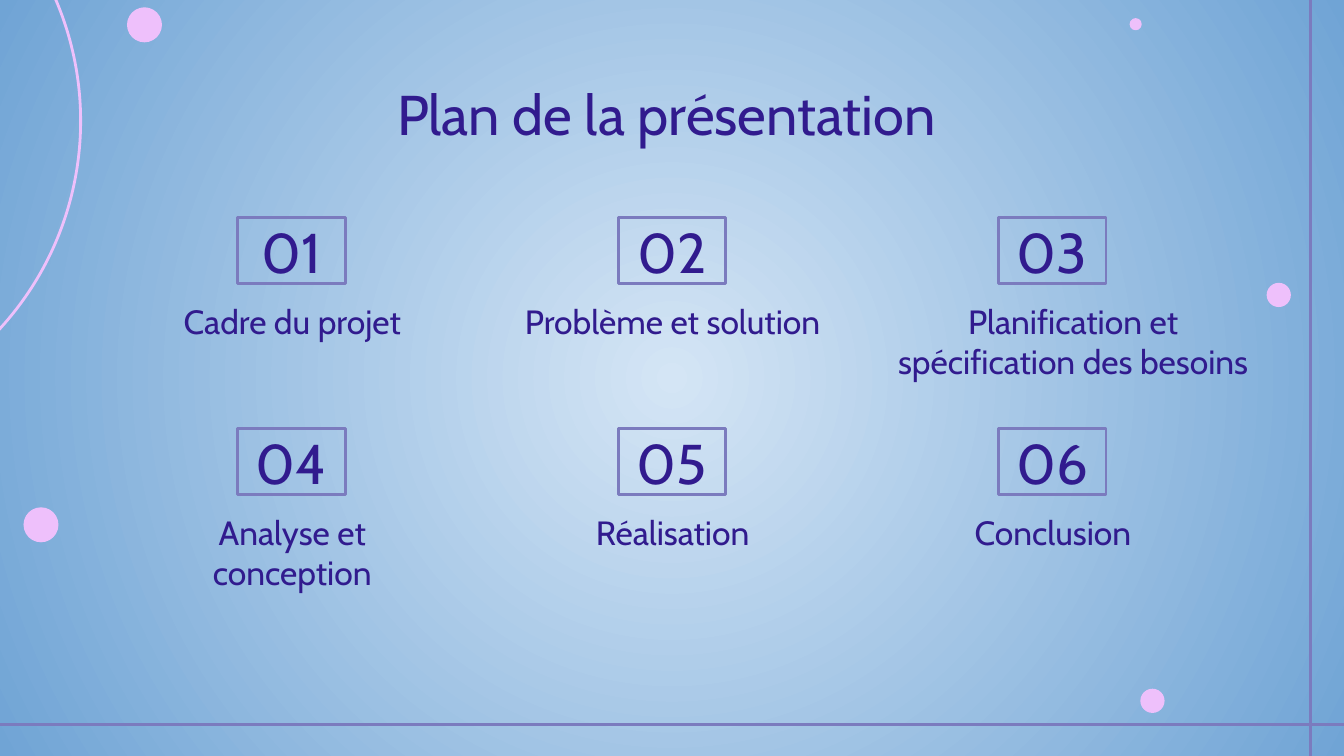
from lxml import etree
from pptx import Presentation
from pptx.dml.color import RGBColor
from pptx.enum.shapes import MSO_CONNECTOR, MSO_SHAPE
from pptx.enum.text import MSO_ANCHOR, PP_ALIGN
from pptx.oxml.ns import qn
from pptx.util import Inches, Pt

OVAL, RECT = MSO_SHAPE.OVAL, MSO_SHAPE.RECTANGLE
STRAIGHT = MSO_CONNECTOR.STRAIGHT
TOP, MIDDLE = MSO_ANCHOR.TOP, MSO_ANCHOR.MIDDLE
CENTER = PP_ALIGN.CENTER

PALE = RGBColor(0xD4, 0xE5, 0xF5)
BLUE = RGBColor(0x70, 0xA4, 0xD5)
PINK = RGBColor(0xEE, 0xC0, 0xFB)
MAUVE = RGBColor(0x7B, 0x7B, 0xBE)
INK = RGBColor(0x31, 0x1B, 0x8E)
FONT = "Cabin"

# Slide size (16:9) and agenda grid, in inches
WIDE = 10
HIGH = WIDE * 9 / 16
LEFT, ABOVE = 0.79, 1.62
STEP_X, STEP_Y = 2.83, 1.57
COL, COLS = 2.77, 3
BOX_W, BOX_H = 0.8, 0.49
INDENT, DROP = 0.98, 0.52

# Left, top and diameter of each dot
DOTS = [(0.95, 0.06, 0.25), (8.49, 5.13, 0.17), (8.41, 0.14, 0.08),
        (9.43, 2.11, 0.17), (0.18, 3.78, 0.25)]

# Paragraphs and caption width of each agenda item
ITEMS = [
    (["Cadre du projet"], COL),
    (["Problème et solution"], COL),
    (["Planification et spécification des besoins"], 3.07),
    (["Analyse et", "conception"], COL),
    (["Réalisation"], COL),
    (["Conclusion"], COL),
]


def paint_back(slide):
    """Radial gradient, pale in the middle."""
    fill = slide.background.fill
    fill.gradient()
    for stop, color in zip(fill.gradient_stops, (PALE, BLUE)):
        stop.color.rgb = color
    grad = slide.element.find(".//" + qn("a:gradFill"))
    line = grad.find(qn("a:lin"))
    ring = etree.Element(qn("a:path"), path="circle")
    etree.SubElement(ring, qn("a:fillToRect"),
                     {side: "50000" for side in "ltrb"})
    grad.replace(line, ring)


def add_form(slide, kind, x, y, w, h, color, weight, solid=False):
    form = slide.shapes.add_shape(kind, Inches(x), Inches(y),
                                  Inches(w), Inches(h))
    form.shadow.inherit = False
    if solid:
        form.fill.solid()
        form.fill.fore_color.rgb = color
    else:
        form.fill.background()
    form.line.color.rgb = color
    form.line.width = Pt(weight)
    return form


def add_rule(slide, x1, y1, x2, y2):
    rule = slide.shapes.add_connector(STRAIGHT, Inches(x1), Inches(y1),
                                      Inches(x2), Inches(y2))
    rule.line.color.rgb = MAUVE
    rule.line.width = Pt(1.5)
    etree.SubElement(rule.element.spPr, qn("a:effectLst"))


def write(form, lines, size, anchor=TOP):
    frame = form.text_frame
    frame.word_wrap = True
    frame.vertical_anchor = anchor
    frame.margin_left = frame.margin_right = Inches(0.1)
    frame.margin_top = frame.margin_bottom = Inches(0.1)
    for i, line in enumerate(lines):
        para = frame.add_paragraph() if i else frame.paragraphs[0]
        para.alignment = CENTER
        run = para.add_run()
        run.text = line
        run.font.name = FONT
        run.font.size = Pt(size)
        run.font.color.rgb = INK


def add_label(slide, x, y, w, h, lines, size):
    label = slide.shapes.add_textbox(Inches(x), Inches(y),
                                     Inches(w), Inches(h))
    write(label, lines, size)


def add_item(slide, index, lines, width):
    """Framed number with its caption below."""
    row, col = divmod(index, COLS)
    x, y = LEFT + col * STEP_X, ABOVE + row * STEP_Y
    box = add_form(slide, RECT, x + INDENT, y, BOX_W, BOX_H, MAUVE, 1.5)
    write(box, [f"{index + 1:02}"], 30, MIDDLE)
    high = BOX_H + 0.38 * (len(lines) - 1)
    add_label(slide, x, y + DROP, width, high, lines, 18)


def main():
    deck = Presentation()
    deck.slide_width, deck.slide_height = Inches(WIDE), Inches(HIGH)
    slide = deck.slides.add_slide(deck.slide_layouts[6])

    # Decoration
    paint_back(slide)
    add_form(slide, OVAL, -3.98, -1.39, 4.58, 4.58, PINK, 1.5)
    for x, y, size in DOTS:
        add_form(slide, OVAL, x, y, size, size, PINK, 0.75, solid=True)
    add_rule(slide, 9.75, 0, 9.75, HIGH)
    add_rule(slide, 0, 5.39, WIDE, 5.39)

    # Title and agenda
    add_label(slide, LEFT, 0.49, 8.43, 0.63,
              ["Plan de la présentation "], 30)
    for index, (lines, width) in enumerate(ITEMS):
        add_item(slide, index, lines, width)

    deck.save("out.pptx")


if __name__ == "__main__":
    main()
